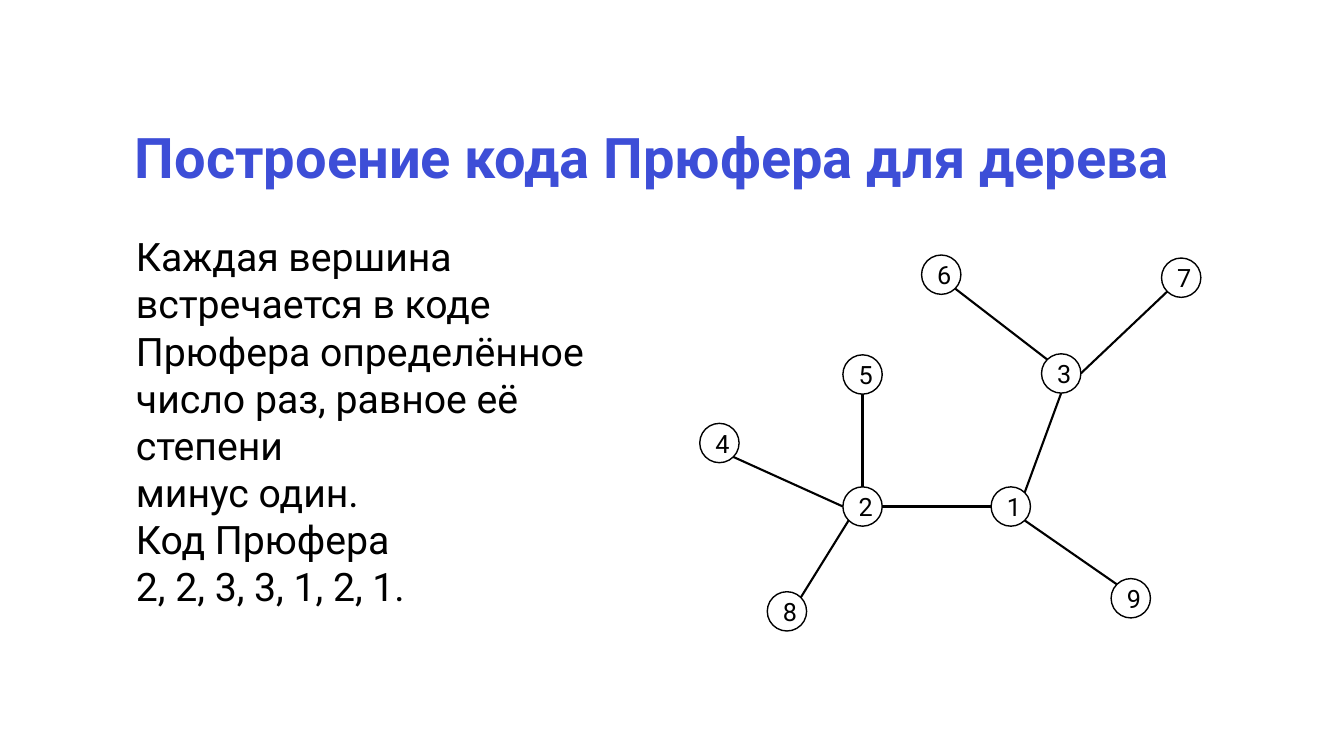
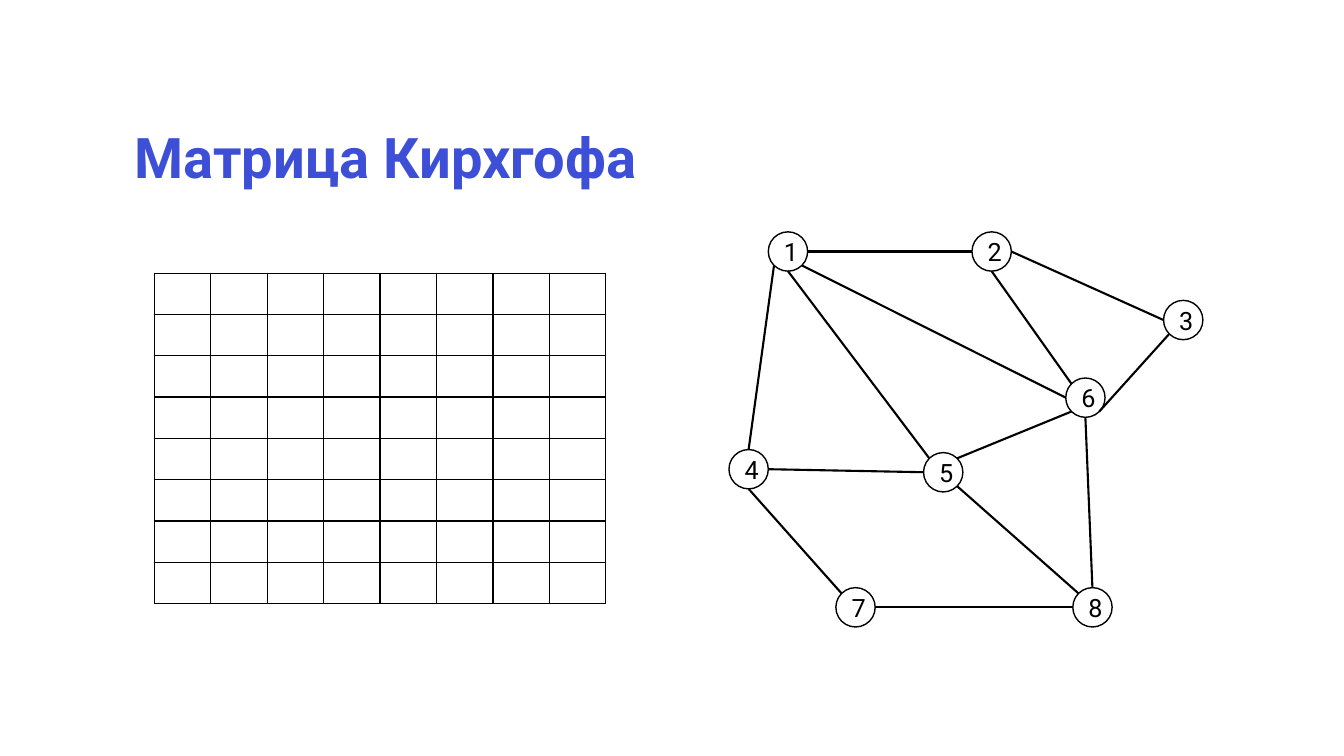
from dataclasses import dataclass
from math import cos, radians, sin

from lxml import etree
from pptx import Presentation
from pptx.dml.color import RGBColor
from pptx.enum.shapes import MSO_CONNECTOR, MSO_SHAPE
from pptx.enum.text import MSO_ANCHOR, MSO_AUTO_SIZE, PP_ALIGN
from pptx.oxml.ns import qn
from pptx.util import Inches, Pt

STRAIGHT = MSO_CONNECTOR.STRAIGHT
ELLIPSE = MSO_SHAPE.OVAL
MIDDLE = MSO_ANCHOR.MIDDLE
CENTER = PP_ALIGN.CENTER
GROW = MSO_AUTO_SIZE.SHAPE_TO_FIT_TEXT


@dataclass(frozen=True)
class Theme:
    font: str = "Roboto"
    accent: str = "3D4ED7"
    ink: str = "000000"
    paper: str = "FFFFFF"
    title_size: int = 40
    body_size: int = 28
    node_size: int = 18
    node_line: float = 1
    edge_line: float = 1.5
    border_line: float = 1


THEME = Theme()
NODE_DIAMETER = 0.39
COMPASS = ("E", "SE", "S", "SW", "W", "NW", "N", "NE")

BODY = (
    (
        "Каждая вершина встречается в коде Прюфера определённое число раз, равное её степени",
        "минус один.",
    ),
    ("Код Прюфера",),
    ("2, 2, 3, 3, 1, 2, 1.",),
)

TREE_NODES = {
    1: (9.83, 4.83), 2: (8.36, 4.83), 3: (10.33, 3.51),
    4: (6.94, 4.2), 5: (8.36, 3.52), 6: (9.14, 2.53),
    7: (11.52, 2.56), 8: (7.61, 5.87), 9: (11.02, 5.74),
}
TREE_EDGES = (
    (1, "W", 2, "E"), (2, "W", 4, "SE"), (1, "NE", 3, "S"),
    (8, "NE", 2, "SW"), (3, "E", 7, "SW"), (2, "N", 5, "S"),
    (3, "NW", 6, "SE"), (9, "NW", 1, "SE"),
)

GRAPH_NODES = {
    1: (7.62, 2.3), 2: (9.64, 2.3), 3: (11.54, 2.98), 4: (7.23, 4.46),
    5: (9.16, 4.49), 6: (10.57, 3.75), 7: (8.29, 5.83), 8: (10.64, 5.83),
}
GRAPH_EDGES = (
    (1, "E", 2, "W"), (1, "SW", 4, "N"), (1, "SE", 6, "W"),
    (3, "W", 2, "E"), (4, "S", 7, "NW"), (6, "SW", 5, "NE"),
    (3, "SW", 6, "SE"), (5, "NW", 1, "S"), (6, "NW", 2, "S"),
    (4, "E", 5, "W"), (5, "SE", 8, "NW"), (6, "S", 8, "N"),
    (7, "E", 8, "W"),
)


def color(value):
    return RGBColor.from_string(value)


def add_run(para, text, size, ink=THEME.ink, bold=False):
    span = para.add_run()
    span.text = text
    span.font.name = THEME.font
    span.font.size = Pt(size)
    span.font.bold = bold
    span.font.color.rgb = color(ink)


def add_text_frame(page, left, top, width, height):
    box = page.shapes.add_textbox(Inches(left), Inches(top), Inches(width), Inches(height))
    box.text_frame.word_wrap = True
    return box.text_frame


def add_page(deck, title):
    page = deck.slides.add_slide(deck.slide_layouts[6])
    page.background.fill.solid()
    page.background.fill.fore_color.rgb = color(THEME.paper)
    para = add_text_frame(page, 1.24, 1.24, 10.85, 0.8).paragraphs[0]
    para.line_spacing = 0.9
    add_run(para, title, THEME.title_size, THEME.accent, bold=True)
    return page


def add_body(page, paragraphs):
    frame = add_text_frame(page, 1.25, 2.26, 5.42, 3.4)
    frame.auto_size = GROW
    for index, lines in enumerate(paragraphs):
        para = frame.add_paragraph() if index else frame.paragraphs[0]
        for line_index, line in enumerate(lines):
            if line_index:
                para.add_line_break()
            add_run(para, line, THEME.body_size)


def add_node(page, label, left, top):
    node = page.shapes.add_shape(
        ELLIPSE, Inches(left), Inches(top), Inches(NODE_DIAMETER), Inches(NODE_DIAMETER)
    )
    node.shadow.inherit = False
    node.fill.solid()
    node.fill.fore_color.rgb = color(THEME.paper)
    node.line.color.rgb = color(THEME.ink)
    node.line.width = Pt(THEME.node_line)
    node.text_frame.vertical_anchor = MIDDLE
    para = node.text_frame.paragraphs[0]
    para.alignment = CENTER
    add_run(para, str(label), THEME.node_size)


def rim_point(corner, side):
    angle = radians(45 * COMPASS.index(side))
    radius = NODE_DIAMETER / 2
    left, top = corner
    return Inches(left + radius * (1 + cos(angle))), Inches(top + radius * (1 + sin(angle)))


def add_edge(page, start, end):
    edge = page.shapes.add_connector(STRAIGHT, *start, *end)
    edge.line.color.rgb = color(THEME.ink)
    edge.line.width = Pt(THEME.edge_line)
    etree.SubElement(edge.element.spPr, qn("a:effectLst"))


def add_graph(page, nodes, edges):
    for label, corner in nodes.items():
        add_node(page, label, *corner)
    for first, first_side, second, second_side in edges:
        add_edge(
            page,
            rim_point(nodes[first], first_side),
            rim_point(nodes[second], second_side),
        )


def style_cell(cell):
    properties = cell._tc.get_or_add_tcPr()
    for side in ("lnL", "lnR", "lnT", "lnB"):
        border = etree.SubElement(properties, qn(f"a:{side}"), w=str(Pt(THEME.border_line)))
        fill = etree.SubElement(border, qn("a:solidFill"))
        etree.SubElement(fill, qn("a:srgbClr"), val=THEME.ink)
    cell.fill.solid()
    cell.fill.fore_color.rgb = color(THEME.paper)


def add_empty_matrix(page, order, left, top, cell_width, cell_height):
    table = page.shapes.add_table(
        order, order, Inches(left), Inches(top),
        Inches(order * cell_width), Inches(order * cell_height),
    ).table
    table.first_row = False
    table.horz_banding = False
    for column in table.columns:
        column.width = Inches(cell_width)
    for row in table.rows:
        row.height = Inches(cell_height)
    for cell in table.iter_cells():
        style_cell(cell)


def main():
    deck = Presentation()
    deck.slide_width = Inches(13.33)
    deck.slide_height = Inches(7.5)

    tree_page = add_page(deck, "Построение кода Прюфера для дерева")
    add_body(tree_page, BODY)
    add_graph(tree_page, TREE_NODES, TREE_EDGES)

    matrix_page = add_page(deck, "Матрица Кирхгофа")
    add_graph(matrix_page, GRAPH_NODES, GRAPH_EDGES)
    add_empty_matrix(matrix_page, len(GRAPH_NODES), 1.53, 2.71, 0.56, 0.41)

    deck.save("out.pptx")


if __name__ == "__main__":
    main()
